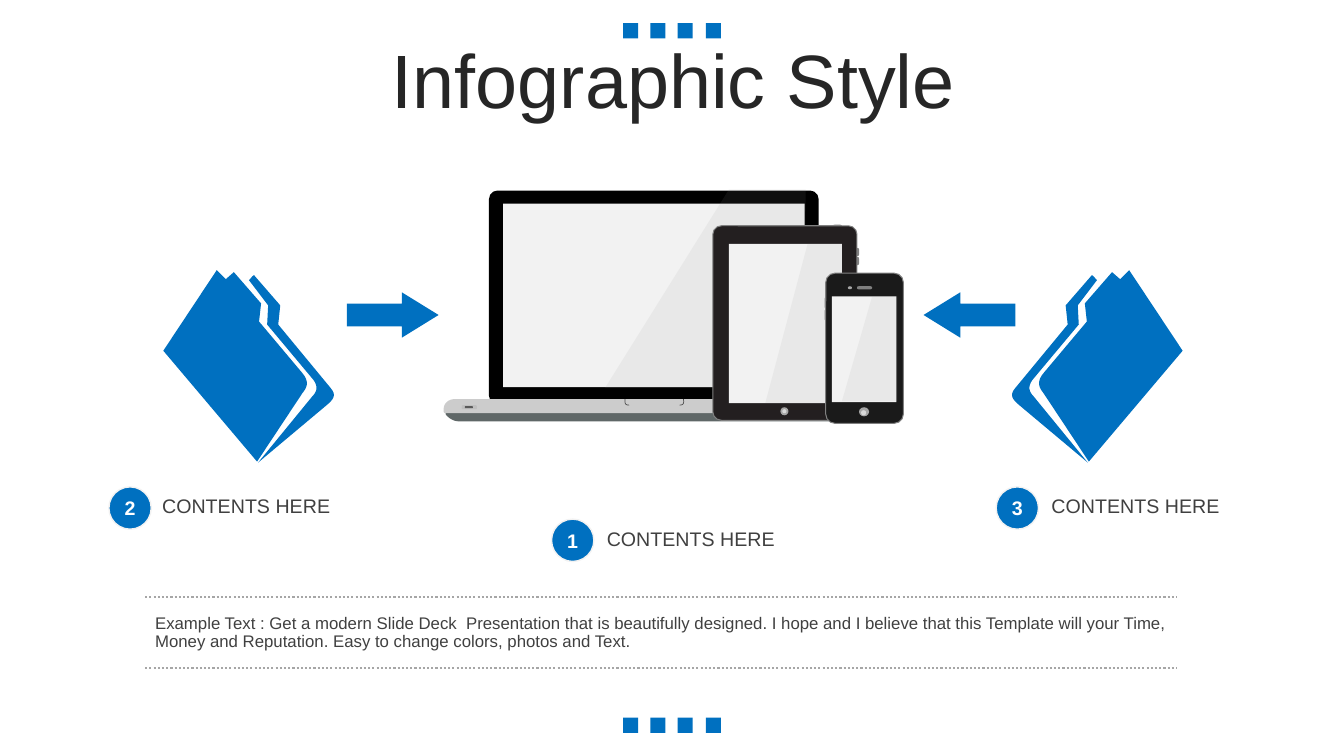
from dataclasses import dataclass

from lxml import etree
from pptx import Presentation
from pptx import util as u
from pptx.dml.color import RGBColor
from pptx.enum import dml, shapes, text
from pptx.oxml import ns

PX = 9144  # one px is a hundredth of an inch
KIND = shapes.MSO_SHAPE


@dataclass(frozen=True)
class Theme:
    font: str = "Arial"
    blue: str = "0070C0"
    white: str = "FFFFFF"
    title: str = "262626"
    body: str = "404040"
    black: str = "000000"
    tablet: str = "231F20"
    phone: str = "1A1A1A"
    dark: str = "595959"
    notch: str = "4D4D4D"
    base: str = "5F6767"
    edge: str = "808080"
    glare: str = "999999"
    rule: str = "A6A6A6"
    port: str = "BFBFBF"
    silver: str = "CCCCCC"
    knob: str = "D9D9D9"
    pale: str = "F2F2F2"
    title_size: int = 54
    label_size: int = 14
    note_size: int = 12


class SlideArt:
    def __init__(self, slide, theme):
        self.shapes, self.theme = slide.shapes, theme

    @staticmethod
    def assign(target, values):
        for name, value in values.items():
            setattr(target, name, value)

    def paint(self, shape, fill=None, line=None, width=1, alpha=None):
        shape.shadow.inherit = False
        if fill:
            shape.fill.solid()
            shape.fill.fore_color.rgb = RGBColor.from_string(fill)
            if alpha:
                color = shape._element.spPr.find(".//" + ns.qn("a:srgbClr"))
                etree.SubElement(color, ns.qn("a:alpha"), val=str(alpha * 1000))
        else:
            shape.fill.background()
        if line:
            shape.line.color.rgb = RGBColor.from_string(line)
            shape.line.width = u.Pt(width)
        else:
            shape.line.fill.background()
        return shape

    def preset(self, kind, box, fill, adj=(), **style):
        shape = self.shapes.add_shape(kind, *(n * PX for n in box))
        for i, value in enumerate(adj):
            shape.adjustments[i] = value
        return self.paint(shape, fill, **style)

    def outline(self, contours, fill=None, closed=True, mirror=None, **style):
        """Contours hold points (x, y) and cubic curves of three such pairs."""
        builder = None
        for contour in contours:
            points = []
            for step in contour:
                if len(step) == 2:
                    points.append(step)
                    continue
                ends = [points[-1], step[:2], step[2:4], step[4:]]
                for t in (k / 8 for k in range(1, 9)):
                    weights = ((1 - t) ** 3, 3 * t * (1 - t) ** 2,
                               3 * t * t * (1 - t), t ** 3)
                    points.append(tuple(sum(w * p[axis] for w, p in zip(weights, ends))
                                        for axis in (0, 1)))
            if mirror:
                points = [(mirror - x, y) for x, y in points]
            points = [(round(x * PX), round(y * PX)) for x, y in points]
            if builder is None:
                builder = self.shapes.build_freeform(*points[0], scale=1.0)
            else:
                builder.move_to(*points[0])
            builder.add_line_segments(points[1:], close=closed)
        return self.paint(builder.convert_to_shape(), fill, **style)

    def letter(self, shape, words, size, color, align=text.PP_ALIGN.LEFT,
               bold=False, frame=None, para=None):
        self.assign(shape.text_frame, {
            "word_wrap": True, "vertical_anchor": text.MSO_ANCHOR.MIDDLE, **(frame or {})})
        paragraph = shape.text_frame.paragraphs[0]
        self.assign(paragraph, {"alignment": align, **(para or {})})
        run = paragraph.add_run()
        run.text = words
        self.assign(run.font, {"name": self.theme.font, "size": u.Pt(size), "bold": bold})
        run.font.color.rgb = RGBColor.from_string(color)

    def label(self, box, words, size, color, **style):
        shape = self.shapes.add_textbox(*(n * PX for n in box))
        self.letter(shape, words, size, color,
                    para={"line_spacing": 0.9, "space_before": u.Pt(10)}, **style)

    def badge(self, x, y, number):
        shape = self.preset(KIND.OVAL, (x, y, 42, 42), self.theme.blue, line=self.theme.pale)
        margins = dict.fromkeys(("margin_left", "margin_right", "margin_top", "margin_bottom"), 0)
        self.letter(shape, number, self.theme.label_size, self.theme.white,
                    text.PP_ALIGN.CENTER, True, margins)

    def dotted_rule(self, x1, x2, y):
        rule = self.shapes.add_connector(
            shapes.MSO_CONNECTOR.STRAIGHT, x1 * PX, y * PX, x2 * PX, y * PX)
        rule.line.color.rgb = RGBColor.from_string(self.theme.rule)
        self.assign(rule.line, {"width": u.Pt(1.5), "dash_style": dml.MSO_LINE.ROUND_DOT})
        etree.SubElement(rule._element.spPr, ns.qn("a:effectLst"))


def draw_laptop(art, c):
    art.outline([[(442, 406), (855, 406), (855, 410), (852, 417, 843, 418, 843, 418),
                  (455, 418), (450, 418, 445, 415, 442, 411)]], c.base)
    art.preset(KIND.ROUNDED_RECTANGLE, (485, 189, 327, 212), c.black, [0.04])
    art.preset(KIND.RECTANGLE, (499, 202, 299, 182), c.pale)
    art.outline([[(451, 396), (847, 396), (853, 396, 858, 401, 858, 406),
                  (858, 409), (858, 410, 853, 410, 853, 410), (443, 410),
                  (442, 410, 440, 410, 440, 408), (440, 406),
                  (440, 400, 445, 396, 451, 396)]], c.silver)
    art.outline([[(620, 396), (620, 399, 619, 402, 624, 402)],
                 [(678, 396), (678, 399, 679, 402, 674, 402)]],
                closed=False, line=c.notch, width=0.5)
    art.preset(KIND.ROUNDED_RECTANGLE, (458, 402, 15, 4), c.port, [0.28])
    art.preset(KIND.ROUNDED_RECTANGLE, (461, 403, 8, 2), c.dark, [0.28])
    art.outline([[(723, 188), (799, 188), (798, 385), (600, 385)]], c.glare, alpha=10)


def draw_handheld(art, c, buttons, body, corner, color, screen, glare, home, knob):
    for button in buttons:
        art.preset(KIND.ROUNDED_RECTANGLE, button, c.edge, [0.5])
    art.preset(KIND.ROUNDED_RECTANGLE, body, color, [corner], line=c.edge, width=0.75)
    art.preset(KIND.RECTANGLE, screen, c.pale)
    art.outline([glare], c.glare, alpha=10)
    art.preset(KIND.OVAL, home, c.rule)
    art.preset(KIND.OVAL, knob, c.knob)


def main():
    deck = Presentation()
    deck.slide_width, deck.slide_height = 1333 * PX, 750 * PX
    c = Theme()
    art = SlideArt(deck.slides.add_slide(deck.slide_layouts[6]), c)

    # Square ornaments and title
    for y in (23, 712):
        for i in range(4):
            art.preset(KIND.RECTANGLE, (618 + i * 82 // 3, y, 15, 15), c.blue)
    art.label((35, 44, 1266, 79), "Infographic Style", c.title_size, c.title,
              align=text.PP_ALIGN.CENTER)

    # Devices
    draw_laptop(art, c)
    draw_handheld(
        art, c, [(826, 223, 9, 3), (849, 246, 3, 8), (849, 255, 3, 8)],
        (707, 224, 143, 193), 0.06, c.tablet, (723, 242, 112, 158),
        [(801, 242), (835, 242), (835, 400), (759, 400)],
        (774, 404, 8, 8), (776, 406, 4, 4))
    draw_handheld(
        art, c, [(818, 295, 2, 11), (818, 307, 2, 11), (894, 307, 2, 11)],
        (819, 271, 77, 149), 0.12, c.phone, (825, 294, 64, 105),
        [(865, 294), (890, 294), (890, 398), (835, 398)],
        (852, 404, 10, 9), (854, 407, 5, 5))
    art.preset(KIND.ROUNDED_RECTANGLE, (850, 284, 15, 3), c.edge, [0.5])
    art.preset(KIND.OVAL, (841, 284, 4, 3), c.rule)

    # Folders, the right one mirrored
    folder = [
        [(232, 270), (259, 301), (257, 319), (299, 369), (308, 379, 304, 385, 300, 390),
         (255, 458), (162, 348), (215, 268), (224, 277)],
        [(252, 273), (278, 303), (276, 322), (328, 385), (334, 392, 331, 396, 324, 402),
         (256, 459), (310, 393), (314, 389, 316, 384, 311, 377), (265, 322),
         (266, 303), (247, 278), (249, 276, 250, 274, 252, 273)]]
    for mirror in (None, 1335):
        art.outline(folder, c.blue, mirror=mirror)

    # Arrows towards the devices
    for kind, x in ((KIND.RIGHT_ARROW, 344), (KIND.LEFT_ARROW, 916)):
        art.preset(kind, (x, 290, 91, 45), c.blue, [0.5, 0.81])

    # Numbered captions
    for number, badge_x, badge_y, caption_x in (
            ("2", 108, 483, 151), ("1", 547, 515, 592), ("3", 988, 483, 1033)):
        art.badge(badge_x, badge_y, number)
        art.label((caption_x, badge_y + 1, 200, 39), "CONTENTS HERE", c.label_size, c.body)

    # Note between dotted rules
    for y in (592, 663):
        art.dotted_rule(144, 1167, y)
    art.label((144, 601, 1053, 54),
              "Example Text : Get a modern Slide Deck  Presentation that is beautifully designed. "
              "I hope and I believe that this Template will your Time, Money and Reputation. "
              "Easy to change colors, photos and Text.", c.note_size, c.body)

    deck.save("out.pptx")


if __name__ == "__main__":
    main()
